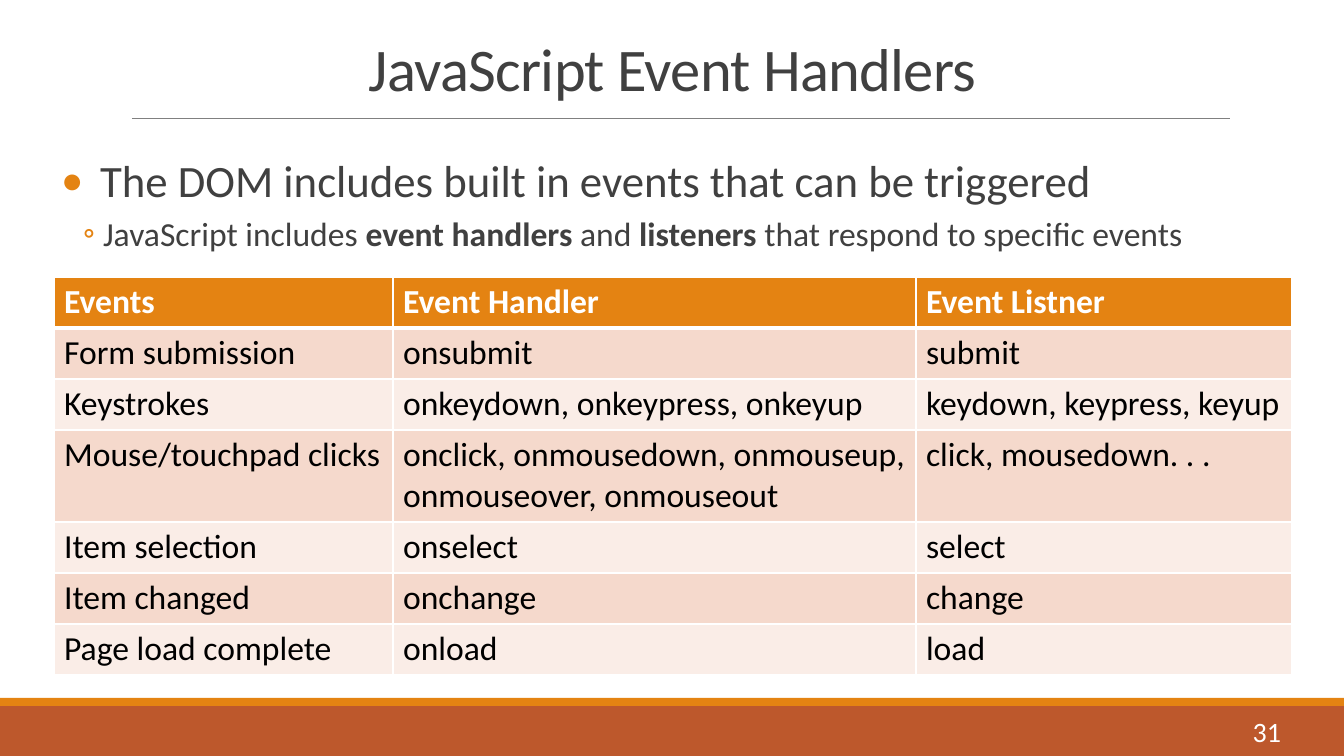
import pptx
import pptx.dml.color
import pptx.enum.shapes
import pptx.enum.text
import pptx.oxml
import pptx.oxml.ns
import pptx.util
from lxml import etree

PX = 12192000 / 1344
FONT = "Calibri"
COLORS = {
    "text": "404040", "orange": "E48312", "rust": "BD582C", "rule": "808080",
    "white": "FFFFFF", "black": "000000", "band_dark": "F5D9CC", "band_light": "FAEDE7",
}
ALIGN = pptx.enum.text.PP_ALIGN
ANCHOR = pptx.enum.text.MSO_ANCHOR


def px(*lengths):
    """Turn pixel lengths into a list of EMU values."""
    return [pptx.util.Emu(round(length * PX)) for length in lengths]


def add_run(p, text, size, color, bold=False):
    """Append a formatted run to a paragraph and return it."""
    r = p.add_run()
    r.text = text
    r.font.name = FONT
    r.font.size = pptx.util.Pt(size)
    r.font.bold = bold
    r.font.color.rgb = pptx.dml.color.RGBColor.from_string(COLORS[color])
    return r


prs = pptx.Presentation()
prs.slide_width, prs.slide_height = px(1344, 756)
s = prs.slides.add_slide(prs.slide_layouts[6])

# Footer bars
for top, height, color in [(706, 50, "rust"), (698, 8, "orange")]:
    sp = s.shapes.add_shape(pptx.enum.shapes.MSO_SHAPE.RECTANGLE, *px(0, top, 1344, height))
    sp.shadow.inherit = False
    sp.fill.solid()
    sp.fill.fore_color.rgb = pptx.dml.color.RGBColor.from_string(COLORS[color])
    sp.line.fill.background()

# Rule under the title
rule = s.shapes.add_connector(pptx.enum.shapes.MSO_CONNECTOR.STRAIGHT, *px(132, 118, 1230, 118))
rule.line.color.rgb = pptx.dml.color.RGBColor.from_string(COLORS["rule"])
rule.line.width = pptx.util.Pt(0.5)
etree.SubElement(rule._element.spPr, pptx.oxml.ns.qn("a:effectLst"))

# Title and slide number
for text, box, size, color, align, anchor in [
    ("JavaScript Event Handlers", (53, 31, 1239, 78), 43.2, "text", ALIGN.CENTER, ANCHOR.BOTTOM),
    ("31", (1147, 711, 144, 40), 20, "white", ALIGN.RIGHT, ANCHOR.MIDDLE),
]:
    tf = s.shapes.add_textbox(*px(*box)).text_frame
    tf.word_wrap = True
    tf.vertical_anchor = anchor
    p = tf.paragraphs[0]
    p.alignment = align
    r = add_run(p, text, size, color)
    if anchor == ANCHOR.BOTTOM:
        p.line_spacing = 0.85
        r.font._element.set("spc", "-50")

# Bullets: level, indent, hanging, space before, space after, mark, size, (text, bold) runs
bullets = [
    (0, 39, 39, 12, 2, "•", 32, [("The DOM includes built in events that can be triggered", False)]),
    (1, 42, 20, 2, 4, "◦", 24, [
        ("JavaScript includes ", False), ("event handlers", True), (" and ", False),
        ("listeners ", True), ("that respond to specific events", False)]),
]
tf = s.shapes.add_textbox(*px(53, 148, 1239, 523)).text_frame
tf.word_wrap = True
tf.margin_left, tf.margin_top, tf.margin_right, tf.margin_bottom = px(8, 5, 0, 5)
for i, (level, indent, hanging, before, after, mark, size, runs) in enumerate(bullets):
    p = tf.add_paragraph() if i else tf.paragraphs[0]
    p.level = level
    p.space_before, p.space_after = pptx.util.Pt(before), pptx.util.Pt(after)
    pPr = p._p.get_or_add_pPr()
    left, first = px(indent, -hanging)
    pPr.set("marL", str(left))
    pPr.set("indent", str(first))
    bu_clr = etree.SubElement(pPr, pptx.oxml.ns.qn("a:buClr"))
    etree.SubElement(bu_clr, pptx.oxml.ns.qn("a:srgbClr"), val=COLORS["orange"])
    etree.SubElement(pPr, pptx.oxml.ns.qn("a:buFont"), typeface=FONT)
    etree.SubElement(pPr, pptx.oxml.ns.qn("a:buChar"), char=mark)
    for text, bold in runs:
        add_run(p, text, size, "text", bold)

# Event table
rows = [
    ("Events", "Event Handler", "Event Listner"),
    ("Form submission", "onsubmit", "submit"),
    ("Keystrokes", "onkeydown, onkeypress, onkeyup", "keydown, keypress, keyup"),
    ("Mouse/touchpad clicks", "onclick, onmousedown, onmouseup,\nonmouseover, onmouseout",
     "click, mousedown. . ."),
    ("Item selection", "onselect", "select"),
    ("Item changed", "onchange", "change"),
    ("Page load complete", "onload", "load"),
]
col_widths = px(339, 523, 376)
row_heights = px(*[92 if "\n" in row[1] else 51 for row in rows])
table = s.shapes.add_table(len(rows), 3, *px(54, 277), sum(col_widths), sum(row_heights)).table
for col, width in zip(table.columns, col_widths):
    col.width = width
for i, row in enumerate(rows):
    table.rows[i].height = row_heights[i]
    header = i == 0
    fill = "orange" if header else "band_dark" if i % 2 else "band_light"
    thick_side = {0: "B", 1: "T"}.get(i)
    for j, text in enumerate(row):
        cell = table.cell(i, j)
        tcPr = cell._tc.get_or_add_tcPr()
        for side in "LRTB":
            width = pptx.util.Pt(3 if side == thick_side else 1)
            ln = etree.SubElement(tcPr, pptx.oxml.ns.qn("a:ln" + side), w=str(width))
            solid = etree.SubElement(ln, pptx.oxml.ns.qn("a:solidFill"))
            etree.SubElement(solid, pptx.oxml.ns.qn("a:srgbClr"), val=COLORS["white"])
        cell.fill.solid()
        cell.fill.fore_color.rgb = pptx.dml.color.RGBColor.from_string(COLORS[fill])
        for k, line in enumerate(text.split("\n")):
            p = cell.text_frame.add_paragraph() if k else cell.text_frame.paragraphs[0]
            add_run(p, line, 24, "white" if header else "black", header)

prs.save("out.pptx")
